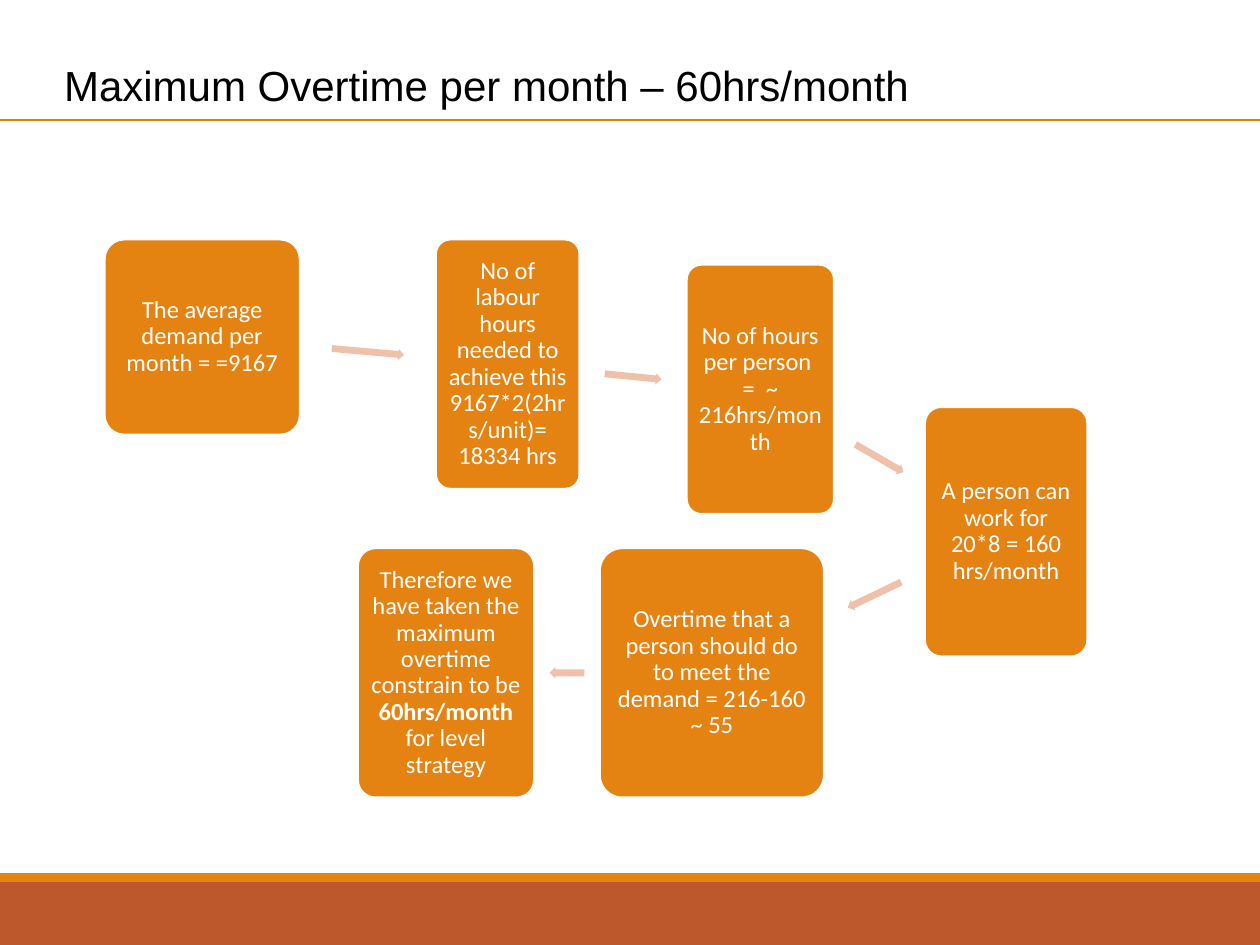
from dataclasses import dataclass
from itertools import pairwise
from math import atan2, cos, degrees

from lxml.etree import SubElement
from pptx import Presentation
from pptx.dml.color import RGBColor
from pptx.enum.shapes import MSO_CONNECTOR, MSO_SHAPE
from pptx.enum.text import MSO_ANCHOR, PP_ALIGN
from pptx.oxml.ns import qn
from pptx.util import Inches, Pt

TITLE = "Maximum Overtime per month – 60hrs/month"

STEPS = [
    ((0.83, 1.9, 1.55, 1.55), ["The average demand per month = =9167"]),
    ((3.46, 1.9, 1.14, 1.98),
     ["No of labour hours needed to achieve this 9167*2(2hrs/unit)= 18334 hrs"]),
    ((5.45, 2.1, 1.17, 1.98), ["No of hours per person  =  ~ 216hrs/month"]),
    ((7.34, 3.23, 1.29, 1.98), ["A person can work for 20*8 = 160 hrs/month"]),
    ((4.76, 4.35, 1.78, 1.98),
     ["Overtime that a person should do to meet the demand = 216-160 ~ 55"]),
    ((2.84, 4.35, 1.4, 1.98),
     ["Therefore we have taken the maximum overtime constrain to be ",
      "60hrs/month ", "for level strategy"]),
]


@dataclass(frozen=True)
class Theme:
    orange: str = "E48312"
    rust: str = "BD582C"
    arrow: str = "EFC1AB"
    white: str = "FFFFFF"
    black: str = "000000"
    title_font: str = "Arial"
    body_font: str = "Calibri"
    title_size: float = 24
    body_size: float = 14
    line_width: float = 1.25
    corner: float = 0.1
    inset: float = 0.06
    arrow_share: float = 0.53
    arrow_height: float = 0.09


THEME = Theme()


def write_text(frame, parts, *, font, size, color, align=PP_ALIGN.LEFT, spacing=1.0):
    """Write one paragraph whose every second part is bold."""
    frame.word_wrap = True
    paragraph = frame.paragraphs[0]
    paragraph.alignment = align
    paragraph.line_spacing = spacing
    for index, part in enumerate(parts):
        run = paragraph.add_run()
        run.text = part
        run.font.name = font
        run.font.size = Pt(size)
        run.font.bold = index % 2 == 1
        run.font.color.rgb = RGBColor.from_string(color)


def add_filled(slide, kind, box, fill, outline=None):
    """Add a flat preset shape with an optional outline."""
    shape = slide.shapes.add_shape(kind, *map(Inches, box))
    shape.shadow.inherit = False
    shape.fill.solid()
    shape.fill.fore_color.rgb = RGBColor.from_string(fill)
    if outline:
        shape.line.color.rgb = RGBColor.from_string(outline)
        shape.line.width = Pt(THEME.line_width)
    else:
        shape.line.fill.background()
    return shape


def add_step(slide, box, parts):
    """Add one rounded step with centred text."""
    shape = add_filled(slide, MSO_SHAPE.ROUNDED_RECTANGLE, box, THEME.orange, THEME.white)
    shape.adjustments[0] = THEME.corner
    frame = shape.text_frame
    frame.margin_left = frame.margin_right = Inches(THEME.inset)
    frame.margin_top = frame.margin_bottom = Inches(THEME.inset)
    frame.vertical_anchor = MSO_ANCHOR.MIDDLE
    write_text(frame, parts, font=THEME.body_font, size=THEME.body_size,
               color=THEME.white, align=PP_ALIGN.CENTER, spacing=0.9)


def add_arrow(slide, start, end):
    """Add an arrow in the gap along the line between two box centres."""
    start_x, start_y = start[0] + start[2] / 2, start[1] + start[3] / 2
    end_x, end_y = end[0] + end[2] / 2, end[1] + end[3] / 2
    angle = atan2(end_y - start_y, end_x - start_x)
    left, right = sorted([start, end])
    gap_start, gap_end = left[0] + left[2], right[0]
    middle_x = (gap_start + gap_end) / 2
    middle_y = start_y + (middle_x - start_x) * (end_y - start_y) / (end_x - start_x)
    length = THEME.arrow_share * (gap_end - gap_start) / abs(cos(angle))
    height = THEME.arrow_height
    box = (middle_x - length / 2, middle_y - height / 2, length, height)
    arrow = add_filled(slide, MSO_SHAPE.RIGHT_ARROW, box, THEME.arrow)
    arrow.adjustments[0] = 0.6
    arrow.adjustments[1] = 0.5
    arrow.rotation = degrees(angle)


def main():
    """Build and save the overtime slide."""
    presentation = Presentation()
    presentation.slide_width = Inches(10)
    presentation.slide_height = Inches(7.5)
    slide = presentation.slides.add_slide(presentation.slide_layouts[6])

    add_filled(slide, MSO_SHAPE.RECTANGLE, (0, 7, 10, 0.5), THEME.rust)
    add_filled(slide, MSO_SHAPE.RECTANGLE, (0, 6.93, 10, 0.07), THEME.orange)

    rule = slide.shapes.add_connector(
        MSO_CONNECTOR.STRAIGHT, Inches(0), Inches(0.95), Inches(10), Inches(0.95))
    rule.line.color.rgb = RGBColor.from_string(THEME.orange)
    rule.line.width = Pt(THEME.line_width)
    SubElement(rule.element.spPr, qn("a:effectLst"))

    for box, parts in STEPS:
        add_step(slide, box, parts)
    for (start, _), (end, _) in pairwise(STEPS):
        add_arrow(slide, start, end)

    title = slide.shapes.add_textbox(*map(Inches, (0.41, 0.42, 8.61, 0.5)))
    write_text(title.text_frame, [TITLE], font=THEME.title_font,
               size=THEME.title_size, color=THEME.black)

    presentation.save("out.pptx")


if __name__ == "__main__":
    main()
